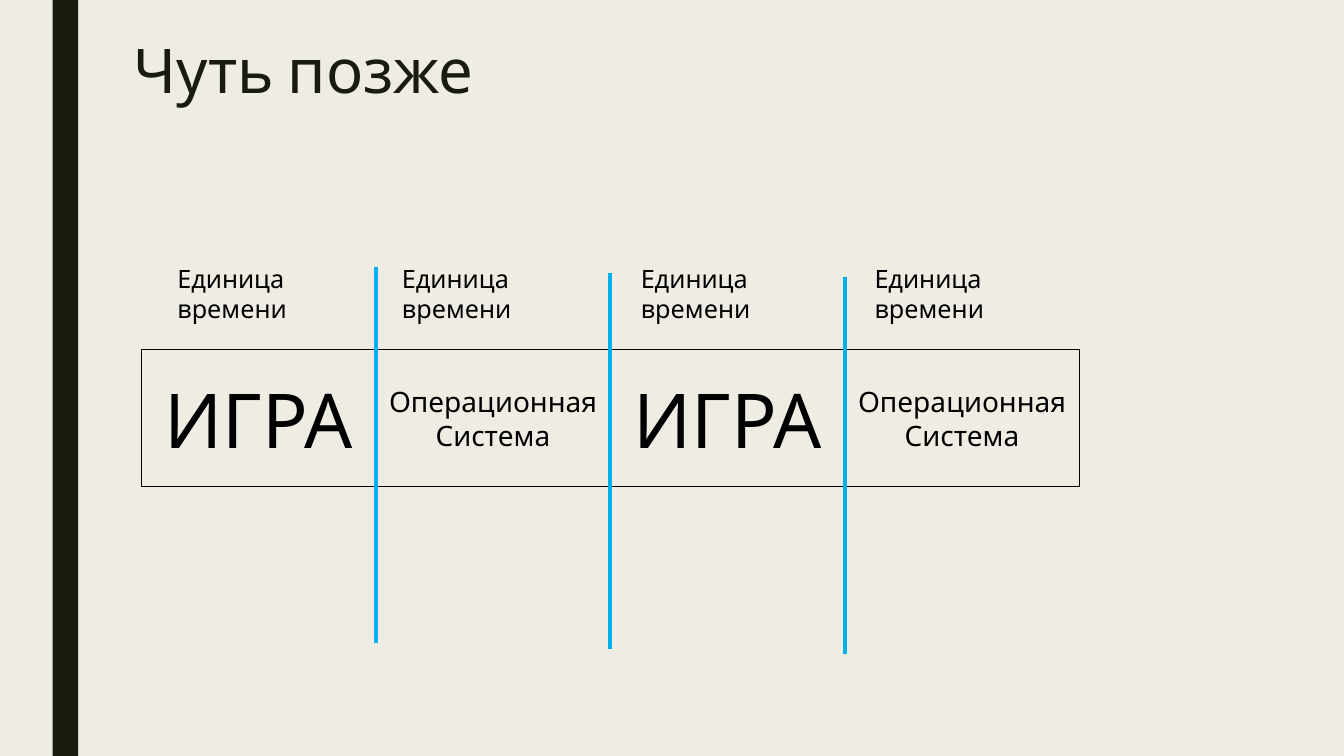
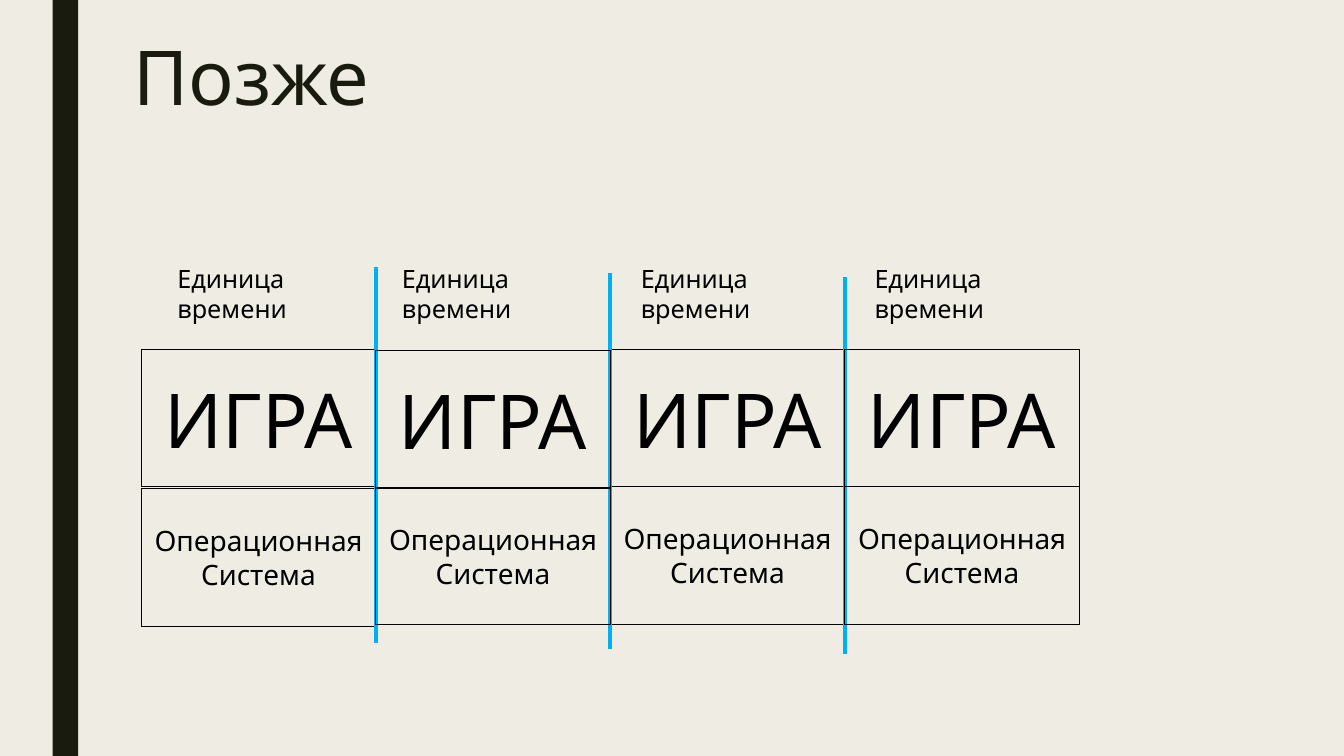
"""Build two slides on how a game and an operating system share time."""
from lxml.etree import SubElement
from pptx import Presentation
from pptx.dml.color import RGBColor
from pptx.enum.shapes import MSO_CONNECTOR as Link, MSO_SHAPE as Shape
from pptx.enum.text import MSO_ANCHOR as Anchor, MSO_AUTO_SIZE as Auto, PP_ALIGN as Align
from pptx.oxml.ns import qn
from pptx.util import Cm, Pt

CREAM = RGBColor(0xEF, 0xED, 0xE3)
DARK = RGBColor(0x19, 0x1B, 0x0E)
BLACK = RGBColor(0, 0, 0)
BLUE = RGBColor(0x00, 0xB0, 0xF0)

WIDTH, HEIGHT = 33.87, 19.05
LEFT, CELL, TALL = 3.56, 5.91, 3.46
TOP = 8.81
GAME = ("ИГРА", 54)
SYSTEM = ("Операционная Система", 20)
LABELS = (4.22, 9.88, 15.9, 21.79)
RULES = (6.73, 6.88, 6.99)
STACKS = ((TOP, 12.32), (8.84, 12.29), (TOP, 12.27), (TOP, 12.27))


class Deck:
    def __init__(self):
        self.prs = Presentation()
        self.prs.slide_width = Cm(WIDTH)
        self.prs.slide_height = Cm(HEIGHT)

    def page(self, title, size):
        self.slide = self.prs.slides.add_slide(self.prs.slide_layouts[6])
        fill = self.slide.background.fill
        fill.solid()
        fill.fore_color.rgb = CREAM
        bar = self.rect(1.33, 0, 0.64, HEIGHT)
        bar.fill.solid()
        bar.fill.fore_color.rgb = DARK
        bar.line.fill.background()
        box = self.text(3.12, 0.9, 26.67, 4.11, title, "Cabin", size, DARK)
        box.text_frame.paragraphs[0].line_spacing = 0.89

    def label(self, shape, words, name, size, color, align, **frame):
        for key, value in {"word_wrap": True, **frame}.items():
            setattr(shape.text_frame, key, value)
        para = shape.text_frame.paragraphs[0]
        para.alignment = align
        run = para.add_run()
        run.text = words
        for key, value in {"name": name, "size": Pt(size)}.items():
            setattr(run.font, key, value)
        run.font.color.rgb = color

    def text(self, x, y, w, h, words, name, size, color, **frame):
        box = self.slide.shapes.add_textbox(Cm(x), Cm(y), Cm(w), Cm(h))
        self.label(box, words, name, size, color, Align.LEFT, **frame)
        return box

    def rect(self, x, y, w, h):
        shape = self.slide.shapes.add_shape(
            Shape.RECTANGLE, Cm(x), Cm(y), Cm(w), Cm(h))
        shape.shadow.inherit = False
        return shape

    def cell(self, col, y, words, size):
        box = self.rect(LEFT + col * CELL, y, CELL, TALL)
        box.fill.background()
        box.line.color.rgb = BLACK
        box.line.width = Pt(0.75)
        self.label(box, words, "Cabin", size, BLACK, Align.CENTER,
                   vertical_anchor=Anchor.MIDDLE)

    def stack(self, col):
        for y, item in zip(STACKS[col], (GAME, SYSTEM)):
            self.cell(col, y, *item)

    def rule(self, x, y, size):
        line = self.slide.shapes.add_connector(
            Link.STRAIGHT, Cm(x), Cm(y), Cm(x), Cm(y + size))
        line.line.color.rgb = BLUE
        line.line.width = Pt(3)
        SubElement(line.element.spPr, qn("a:effectLst"))

    def units(self):
        for col, y in enumerate(RULES, 1):
            self.rule(LEFT + col * CELL, y, 9.48)
        for x in LABELS:
            self.text(x, 6.5, 4.6, 1.8, "Единица времени", "Karla", 18, BLACK,
                      auto_size=Auto.SHAPE_TO_FIT_TEXT)


def main():
    deck = Deck()
    deck.page("Чуть позже", 44)
    for col, item in enumerate((GAME, SYSTEM) * 2):
        deck.cell(col, TOP, *item)
    deck.units()

    deck.page("Позже", 54)
    for col in (0, 2):
        deck.stack(col)
    deck.units()
    for col in (1, 3):
        deck.stack(col)
    deck.prs.save("out.pptx")


if __name__ == "__main__":
    main()
